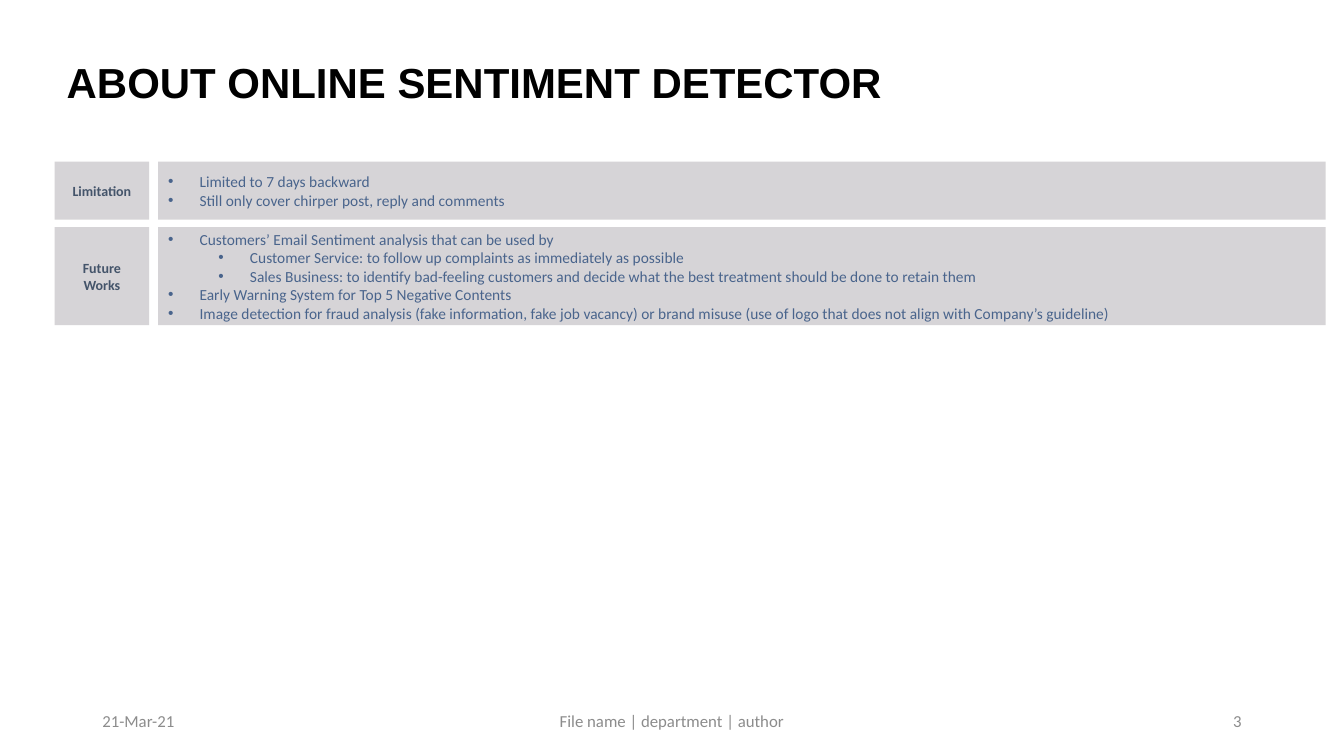
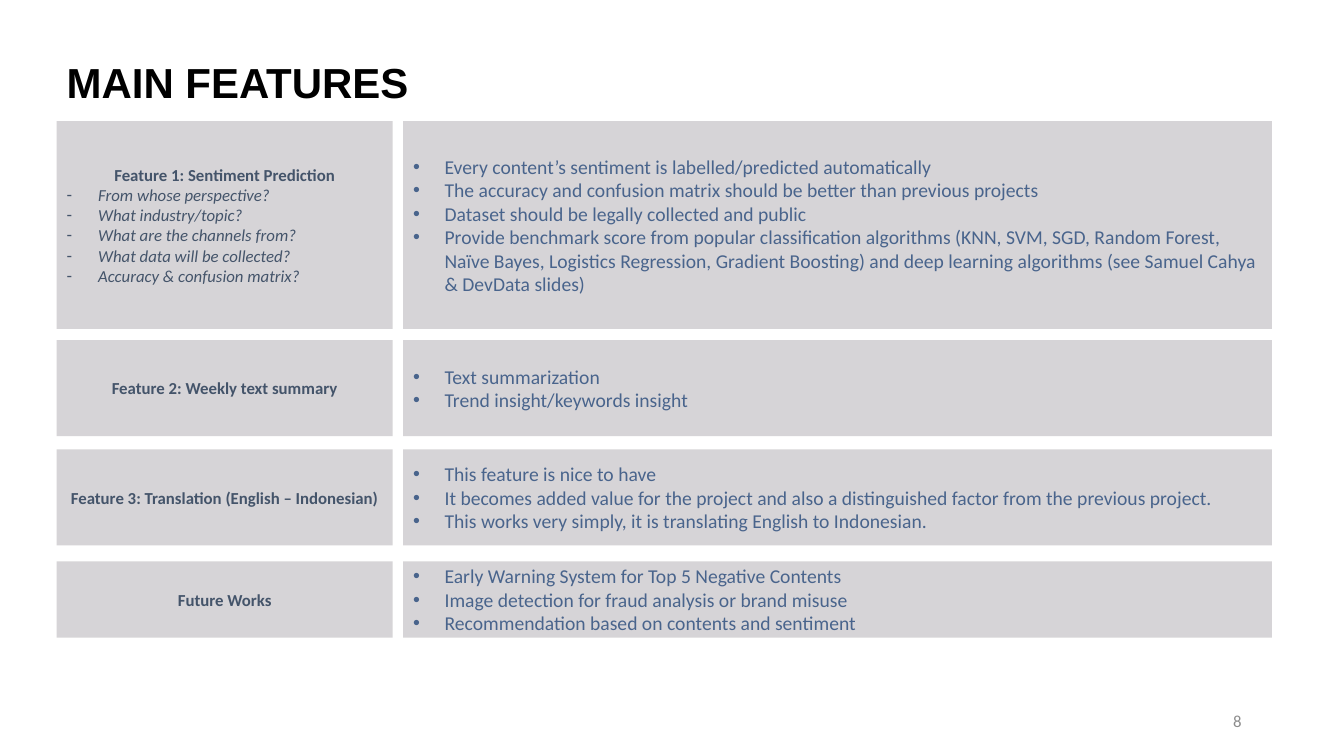
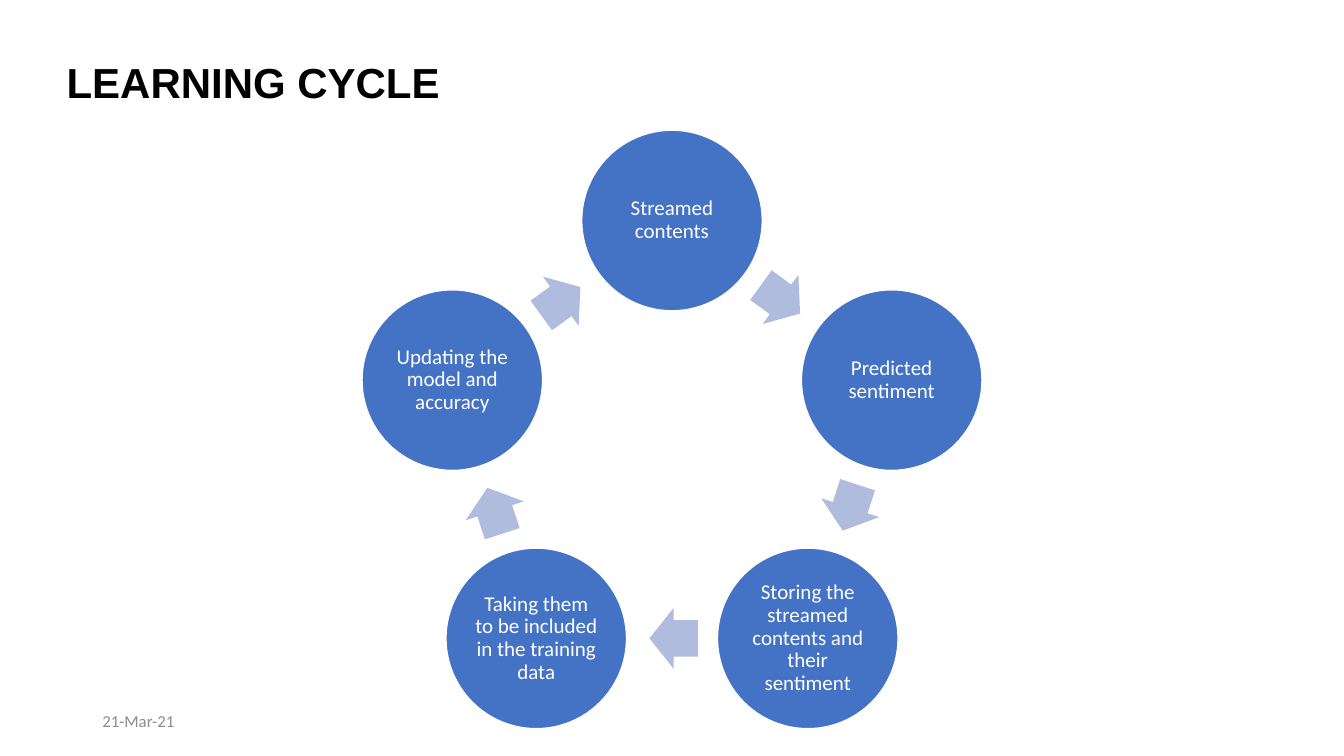
from math import cos, radians, sin

from lxml.etree import SubElement
from pptx import Presentation
from pptx.dml.color import RGBColor
from pptx.enum.shapes import MSO_SHAPE as Shape
from pptx.enum.text import MSO_ANCHOR as Anchor, PP_ALIGN as Align
from pptx.oxml.ns import qn
from pptx.util import Pt

BLACK = RGBColor(0x00, 0x00, 0x00)
WHITE = RGBColor(0xFF, 0xFF, 0xFF)
PANEL_GRAY = RGBColor(0xD6, 0xD4, 0xD7)
FOOTER_GRAY = RGBColor(0x8C, 0x8C, 0x8C)
LABEL_SLATE = RGBColor(0x44, 0x54, 0x6A)
BODY_BLUE = RGBColor(0x49, 0x64, 0x8C)
CIRCLE_BLUE = RGBColor(0x44, 0x72, 0xC4)
ARROW_BLUE = RGBColor(0xB0, 0xBC, 0xDE)

BULLET_INDENT = 22.5
LEVEL_INDENT = 36
BLANK_LAYOUT = 6

# Each row: top, height, label, questions under the label, body items as (level, text)
ABOUT_ROWS = [
    (115.5, 41.5, "Limitation", [], [
        (0, "Limited to 7 days backward"),
        (0, "Still only cover chirper post, reply and comments"),
    ]),
    (162.25, 70, "Future Works", [], [
        (0, "Customers’ Email Sentiment analysis that can be used by"),
        (1, "Customer Service: to follow up complaints as immediately as possible"),
        (1, "Sales Business: to identify bad-feeling customers and decide what "
            "the best treatment should be done to retain them"),
        (0, "Early Warning System for Top 5 Negative Contents"),
        (0, "Image detection for fraud analysis (fake information, fake job vacancy) "
            "or brand misuse (use of logo that does not align with Company’s guideline)"),
    ]),
]
FEATURE_ROWS = [
    (86.5, 148.5, "Feature 1: Sentiment Prediction", [
        "From whose perspective?",
        "What industry/topic?",
        "What are the channels from?",
        "What data will be collected?",
        "Accuracy & confusion matrix?",
    ], [
        (0, "Every content’s sentiment is labelled/predicted automatically"),
        (0, "The accuracy and confusion matrix should be better than previous projects"),
        (0, "Dataset should be legally collected and public"),
        (0, "Provide benchmark score from popular classification algorithms (KNN, SVM, "
            "SGD, Random Forest, Naïve Bayes, Logistics Regression, Gradient Boosting) "
            "and deep learning algorithms (see Samuel Cahya & DevData slides)"),
    ]),
    (243, 68.5, "Feature 2: Weekly text summary", [], [
        (0, "Text summarization"),
        (0, "Trend insight/keywords insight"),
    ]),
    (321, 68.5, "Feature 3: Translation (English – Indonesian)", [], [
        (0, "This feature is nice to have"),
        (0, "It becomes added value for the project and also a distinguished factor "
            "from the previous project."),
        (0, "This works very simply, it is translating English to Indonesian."),
    ]),
    (401, 54.5, "Future Works", [], [
        (0, "Early Warning System for Top 5 Negative Contents"),
        (0, "Image detection for fraud analysis or brand misuse"),
        (0, "Recommendation based on contents and sentiment"),
    ]),
]
CYCLE_STEPS = [
    "Streamed contents",
    "Predicted sentiment",
    "Storing the streamed contents and their sentiment",
    "Taking them to be included in the training data",
    "Updating the model and accuracy",
]


def style_paragraph(paragraph, size, color, font="Calibri", bold=False,
                    italic=False, align=Align.LEFT):
    paragraph.alignment = align
    for run in paragraph.runs:
        run.font.name = font
        run.font.size = Pt(size)
        run.font.bold = bold
        run.font.italic = italic
        run.font.color.rgb = color


def set_bullet(paragraph, character, level=0):
    paragraph.level = level
    properties = paragraph._p.get_or_add_pPr()
    properties.set("marL", str(Pt(BULLET_INDENT + level * LEVEL_INDENT)))
    properties.set("indent", str(-Pt(BULLET_INDENT)))
    SubElement(properties, qn("a:buFont")).set("typeface", "Arial")
    SubElement(properties, qn("a:buChar")).set("char", character)


def add_text(slide, box, text, **style):
    shape = slide.shapes.add_textbox(*map(Pt, box))
    frame = shape.text_frame
    frame.word_wrap = True
    frame.vertical_anchor = Anchor.MIDDLE
    frame.text = text
    style_paragraph(frame.paragraphs[0], **style)
    return frame


def add_filled(slide, kind, box, color):
    shape = slide.shapes.add_shape(kind, *map(Pt, box))
    shape.shadow.inherit = False
    shape.fill.solid()
    shape.fill.fore_color.rgb = color
    shape.line.fill.background()
    shape.text_frame.word_wrap = True
    shape.text_frame.vertical_anchor = Anchor.MIDDLE
    return shape


def add_base_slide(presentation, title, date="", footer="", number=""):
    """Add a slide with its title and whichever footer parts are given."""
    slide = presentation.slides.add_slide(presentation.slide_layouts[BLANK_LAYOUT])
    frame = add_text(slide, (40.5, 40.5, 840, 40), title, size=30, color=BLACK,
                     font="Arial", bold=True)
    frame.paragraphs[0].line_spacing = 0.9
    for left, width, text, align in (
        (66, 216, date, Align.LEFT),
        (318, 324, footer, Align.CENTER),
        (678, 216, number, Align.RIGHT),
    ):
        if text:
            add_text(slide, (left, 500.5, width, 28.75), text, size=12,
                     color=FOOTER_GRAY, align=align)
    return slide


def add_label_panel(slide, box, label, questions, size):
    frame = add_filled(slide, Shape.RECTANGLE, box, PANEL_GRAY).text_frame
    frame.text = label
    style_paragraph(frame.paragraphs[0], size, LABEL_SLATE, bold=True,
                    align=Align.CENTER)
    for question in questions:
        paragraph = frame.add_paragraph()
        paragraph.text = question
        style_paragraph(paragraph, size, LABEL_SLATE, italic=True)
        set_bullet(paragraph, "-")


def add_body_panel(slide, box, items, size):
    frame = add_filled(slide, Shape.RECTANGLE, box, PANEL_GRAY).text_frame
    frame.text = "\n".join(text for _, text in items)
    for paragraph, (level, _) in zip(frame.paragraphs, items):
        style_paragraph(paragraph, size, BODY_BLUE)
        set_bullet(paragraph, "•", level)


def add_rows(slide, rows, left, label_width, gap, body_width, label_size, body_size):
    """Place label and body panels side by side, one pair for each row."""
    body_left = left + label_width + gap
    for top, height, label, questions, items in rows:
        add_label_panel(slide, (left, top, label_width, height), label,
                        questions, label_size)
        add_body_panel(slide, (body_left, top, body_width, height), items, body_size)


def centered_box(center_x, center_y, radius, angle, width, height):
    """Box centred on a ring, at an angle in degrees clockwise from the top."""
    x = center_x + radius * sin(radians(angle))
    y = center_y - radius * cos(radians(angle))
    return x - width / 2, y - height / 2, width, height


def add_cycle(slide, steps, center_x, center_y, radius, diameter):
    step_angle = 360 / len(steps)
    arrow_radius = radius * cos(radians(step_angle / 2))
    for index, step in enumerate(steps):
        angle = index * step_angle
        circle = add_filled(
            slide, Shape.OVAL,
            centered_box(center_x, center_y, radius, angle, diameter, diameter),
            CIRCLE_BLUE)
        circle.line.color.rgb = WHITE
        circle.line.width = Pt(1)
        frame = circle.text_frame
        frame.margin_left = frame.margin_right = Pt(1.5)
        frame.margin_top = frame.margin_bottom = Pt(1.5)
        frame.text = step
        frame.paragraphs[0].line_spacing = 0.9
        style_paragraph(frame.paragraphs[0], 15, WHITE, align=Align.CENTER)

        arrow_angle = angle + step_angle / 2
        arrow = add_filled(
            slide, Shape.RIGHT_ARROW,
            centered_box(center_x, center_y, arrow_radius, arrow_angle - 0.5,
                         34.5, 43.5),
            ARROW_BLUE)
        arrow.adjustments[0] = 0.6
        arrow.adjustments[1] = 0.5
        arrow.rotation = arrow_angle


def main():
    presentation = Presentation()
    presentation.slide_width = Pt(960)
    presentation.slide_height = Pt(540)

    about = add_base_slide(presentation, "ABOUT ONLINE SENTIMENT DETECTOR",
                           date="21-Mar-21",
                           footer="File name | department | author", number="3")
    add_rows(about, ABOUT_ROWS, left=39, label_width=67.5, gap=6.5,
             body_width=834, label_size=10, body_size=11)

    features = add_base_slide(presentation, "MAIN FEATURES", number="8")
    add_rows(features, FEATURE_ROWS, left=40.5, label_width=240, gap=7.5,
             body_width=620.5, label_size=12, body_size=14)

    cycle = add_base_slide(presentation, "LEARNING CYCLE", date="21-Mar-21")
    add_cycle(cycle, CYCLE_STEPS, center_x=480, center_y=322.5, radius=165,
              diameter=129)

    presentation.save("out.pptx")


if __name__ == "__main__":
    main()
